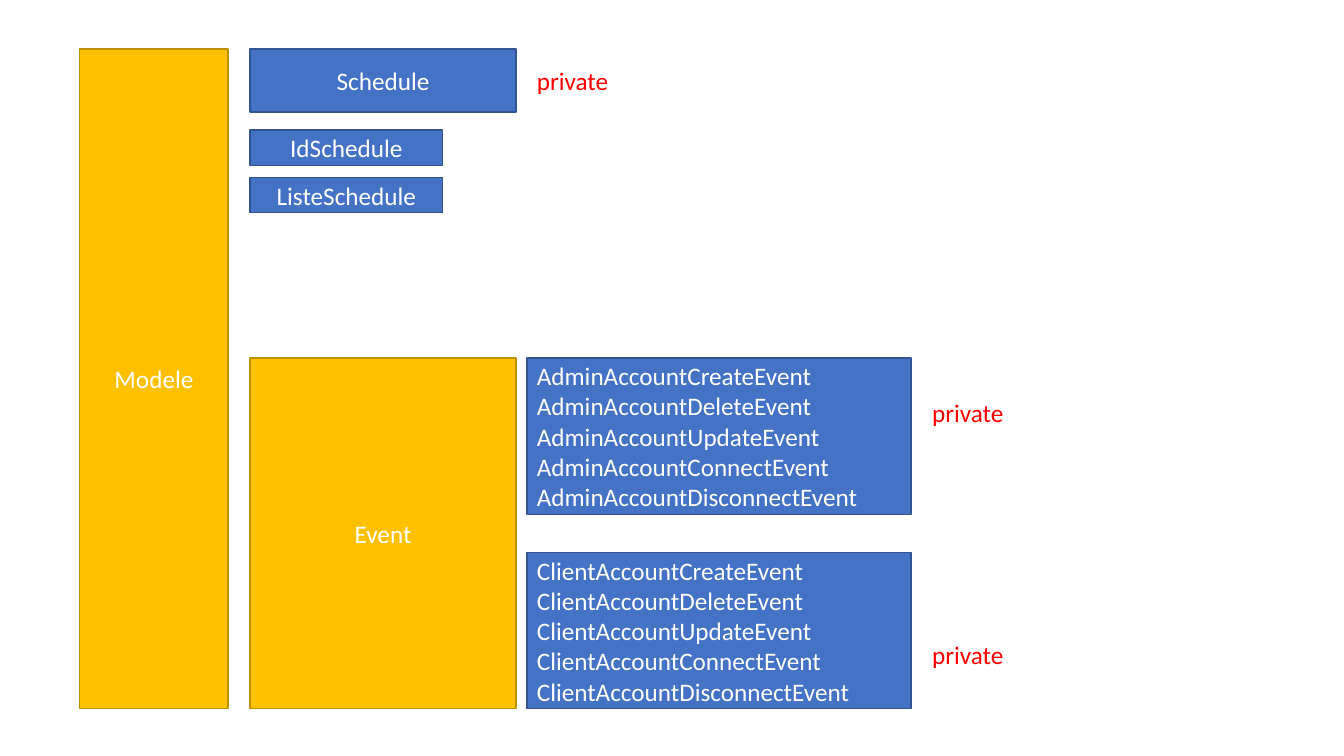
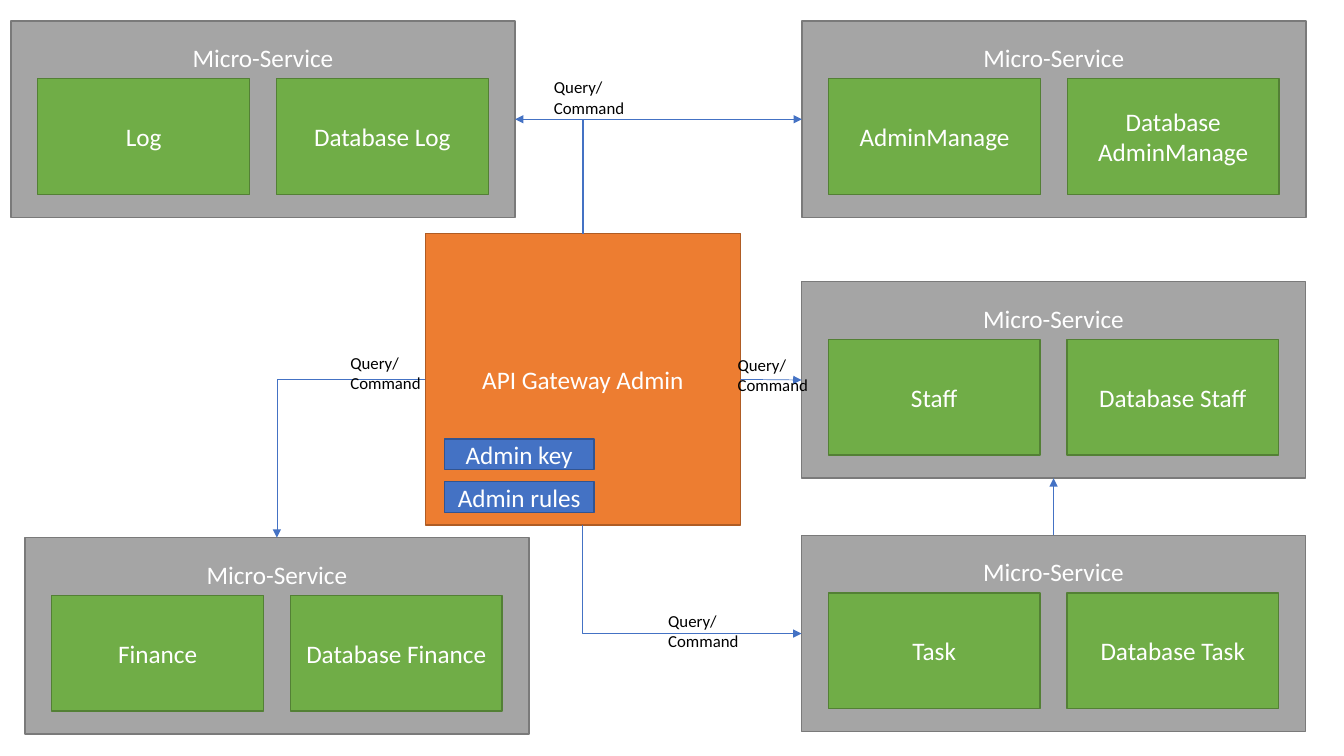
from dataclasses import dataclass

from lxml import etree
from pptx import Presentation
from pptx.dml.color import RGBColor
from pptx.enum import shapes, text
from pptx.oxml import ns
from pptx.util import Cm, Pt


@dataclass(frozen=True)
class Theme:
    font: str = "Calibri"
    body: int = 18
    small: int = 12
    outline: float = 1
    arrow: float = 0.5
    white: str = "FFFFFF"
    black: str = "000000"
    red: str = "FF0000"
    # (fill, outline) pairs
    gold: tuple = ("FFC000", "BF9000")
    blue: tuple = ("4472C4", "325491")
    orange: tuple = ("ED7D31", "AF5C24")
    grey: tuple = ("A5A5A5", "7A7A7A")
    green: tuple = ("70AD47", "538035")


THEME = Theme()
CENTER, LEFT = text.PP_ALIGN.CENTER, text.PP_ALIGN.LEFT
TOP, BOTTOM, WEST, EAST = 0, 2, 1, 3  # connection sites of a rectangle

# Content: class model (lengths in cm)
ACTIONS = ["Create", "Delete", "Update", "Connect", "Disconnect"]
ACCOUNTS = [("Admin", 9.02, 9.88), ("Client", 13.92, 15.98)]  # name, top, top of note
ATTRIBUTES = ["IdSchedule", "ListeSchedule"]
VISIBILITY = "private"
MODEL_TOP, MODEL_BOTTOM = 1.24, 17.85
PACKAGE_X, PACKAGE_W = 6.3, 6.71
DETAIL_X, DETAIL_W, DETAIL_H = 13.28, 9.68, 3.94

# Content: services with left, top
SERVICES = {
    "AdminManage": (20.21, 0.53),
    "Staff": (20.2, 7.1),
    "Task": (20.2, 13.49),
    "Finance": (0.63, 13.55),
    "Log": (0.28, 0.53),
}
SERVICE_W, SERVICE_H = 12.7, 4.95
PART_W, PART_H, PART_TOP = 5.34, 2.92, 1.45
GATEWAY = "API Gateway Admin"
BADGES = ["Admin key", "Admin rules"]
# begin, site, end, site, arrowhead end; elbows leave their begin horizontally
STRAIGHT = [
    (GATEWAY, EAST, "Staff", WEST, "tailEnd"),
    ("Task", TOP, "Staff", BOTTOM, "tailEnd"),
]
ELBOWS = [
    ("AdminManage", WEST, GATEWAY, TOP, "headEnd"),
    ("Task", WEST, GATEWAY, BOTTOM, "headEnd"),
    (GATEWAY, WEST, "Finance", TOP, "tailEnd"),
    ("Log", EAST, GATEWAY, TOP, "headEnd"),
]
EXCHANGE = ["Query/", "Command"]
EXCHANGE_AT = [(8.58, 8.77), (18.34, 8.82), (16.59, 15.27), (13.71, 1.82)]


def rgb(value):
    return RGBColor.from_string(value)


def write(frame, lines, color, size, align):
    frame.word_wrap = True
    frame.text = "\n".join(lines)
    for paragraph in frame.paragraphs:
        paragraph.alignment = align
        for run in paragraph.runs:
            run.font.name = THEME.font
            run.font.size = Pt(size)
            run.font.color.rgb = rgb(color)


def box(slide, lines, colors, left, top, width, height, align=CENTER):
    shape = slide.shapes.add_shape(
        shapes.MSO_SHAPE.RECTANGLE, Cm(left), Cm(top), Cm(width), Cm(height))
    shape.shadow.inherit = False
    fill, outline = colors
    shape.fill.solid()
    shape.fill.fore_color.rgb = rgb(fill)
    shape.line.color.rgb = rgb(outline)
    shape.line.width = Pt(THEME.outline)
    write(shape.text_frame, lines, THEME.white, THEME.body, align)
    shape.text_frame.vertical_anchor = text.MSO_ANCHOR.MIDDLE
    return shape


def label(slide, lines, color, size, left, top, width, height):
    note = slide.shapes.add_textbox(Cm(left), Cm(top), Cm(width), Cm(height))
    write(note.text_frame, lines, color, size, LEFT)


def arrow(slide, blocks, link, bent):
    begin, begin_site, end, end_site, head = link
    kind = shapes.MSO_CONNECTOR.ELBOW if bent else shapes.MSO_CONNECTOR.STRAIGHT
    connector = slide.shapes.add_connector(kind, 0, 0, 0, 0)
    connector.begin_connect(blocks[begin], begin_site)
    connector.end_connect(blocks[end], end_site)
    connector.line.color.rgb = rgb(THEME.blue[0])
    connector.line.width = Pt(THEME.arrow)
    properties = connector._element.spPr
    if bent:  # one corner only
        properties.find(ns.qn("a:prstGeom")).set("prst", "bentConnector2")
    line = properties.find(ns.qn("a:ln"))
    etree.SubElement(line, ns.qn(f"a:{head}"), type="triangle")
    etree.SubElement(properties, ns.qn("a:effectLst"))


def service(slide, name, left, top):
    frame = box(slide, ["Micro-Service"], THEME.grey, left, top, SERVICE_W, SERVICE_H)
    frame.text_frame.vertical_anchor = text.MSO_ANCHOR.TOP
    frame.text_frame.margin_top = Cm(0.54)
    gap = (SERVICE_W - 2 * PART_W) / 3
    for column, part in enumerate([name, f"Database {name}"]):
        box(slide, [part], THEME.green, left + gap + column * (PART_W + gap),
            top + PART_TOP, PART_W, PART_H)
    return frame


def class_model(slide):
    box(slide, ["Modele"], THEME.gold, 2.01, MODEL_TOP, 3.74, MODEL_BOTTOM - MODEL_TOP)

    # Schedule and its attributes
    box(slide, ["Schedule"], THEME.blue, PACKAGE_X, MODEL_TOP, PACKAGE_W, 1.58)
    label(slide, [VISIBILITY], THEME.red, THEME.body, DETAIL_X, 1.52, 7.8, 1.02)
    for row, attribute in enumerate(ATTRIBUTES):
        box(slide, [attribute], THEME.blue, PACKAGE_X, 3.28 + row * 1.19, 4.86, 0.89)

    # Events by account
    event_top = ACCOUNTS[0][1]
    box(slide, ["Event"], THEME.gold, PACKAGE_X, event_top, PACKAGE_W,
        MODEL_BOTTOM - event_top)
    for account, top, note_top in ACCOUNTS:
        events = [f"{account}Account{action}Event" for action in ACTIONS]
        box(slide, events, THEME.blue, DETAIL_X, top, DETAIL_W, DETAIL_H, LEFT)
        label(slide, [VISIBILITY], THEME.red, THEME.body, 23.24, note_top, 7.8, 1.02)


def architecture(slide):
    blocks = {GATEWAY: box(slide, [GATEWAY], THEME.orange, 10.72, 5.89, 7.94, 7.34)}
    for name, (left, top) in SERVICES.items():
        blocks[name] = service(slide, name, left, top)
    for row, badge in enumerate(BADGES):
        box(slide, [badge], THEME.blue, 11.2, 11.06 + row * 1.08, 3.77, 0.77)

    # Exchanges
    for links, bent in [(STRAIGHT, False), (ELBOWS, True)]:
        for link in links:
            arrow(slide, blocks, link, bent)
    for left, top in EXCHANGE_AT:
        label(slide, EXCHANGE, THEME.black, THEME.small, left, top, 2.5, 1.28)


def main():
    deck = Presentation()
    deck.slide_width, deck.slide_height = Cm(33.87), Cm(19.05)
    for build in (class_model, architecture):
        build(deck.slides.add_slide(deck.slide_layouts[6]))
    deck.save("out.pptx")


if __name__ == "__main__":
    main()
